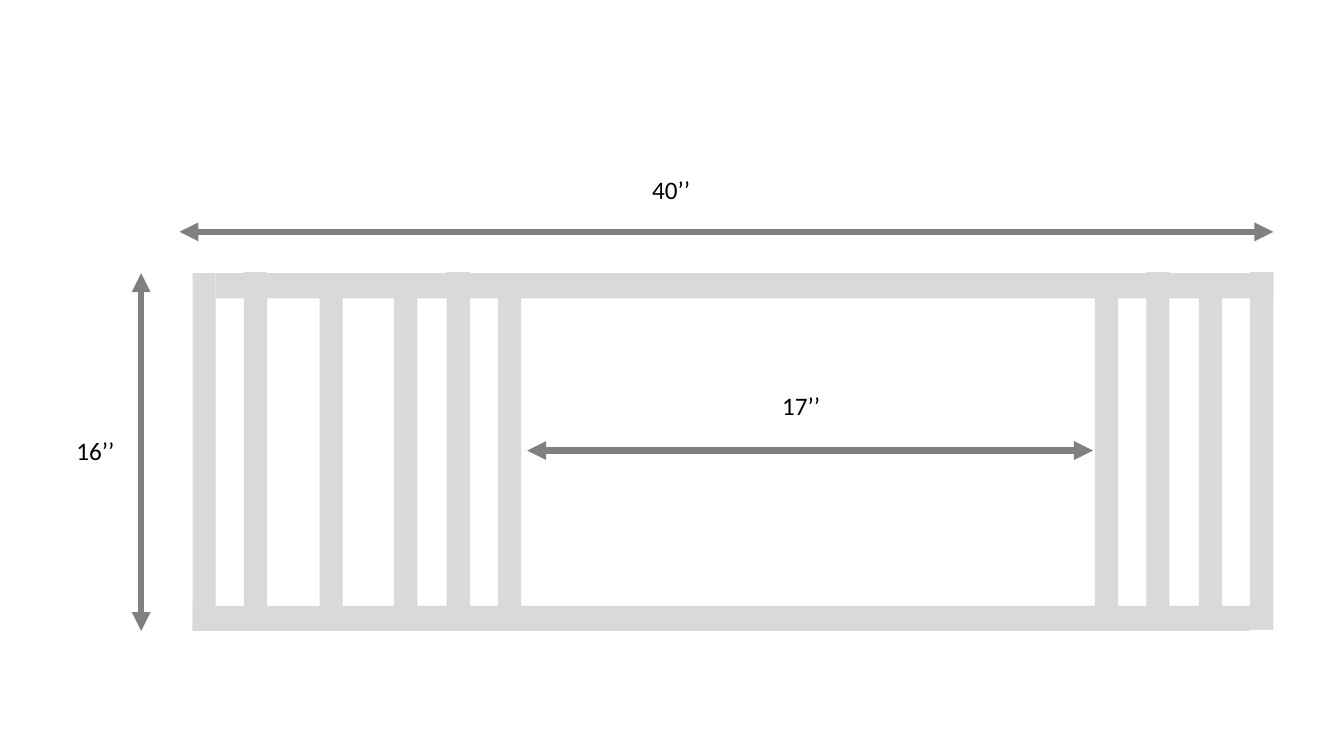
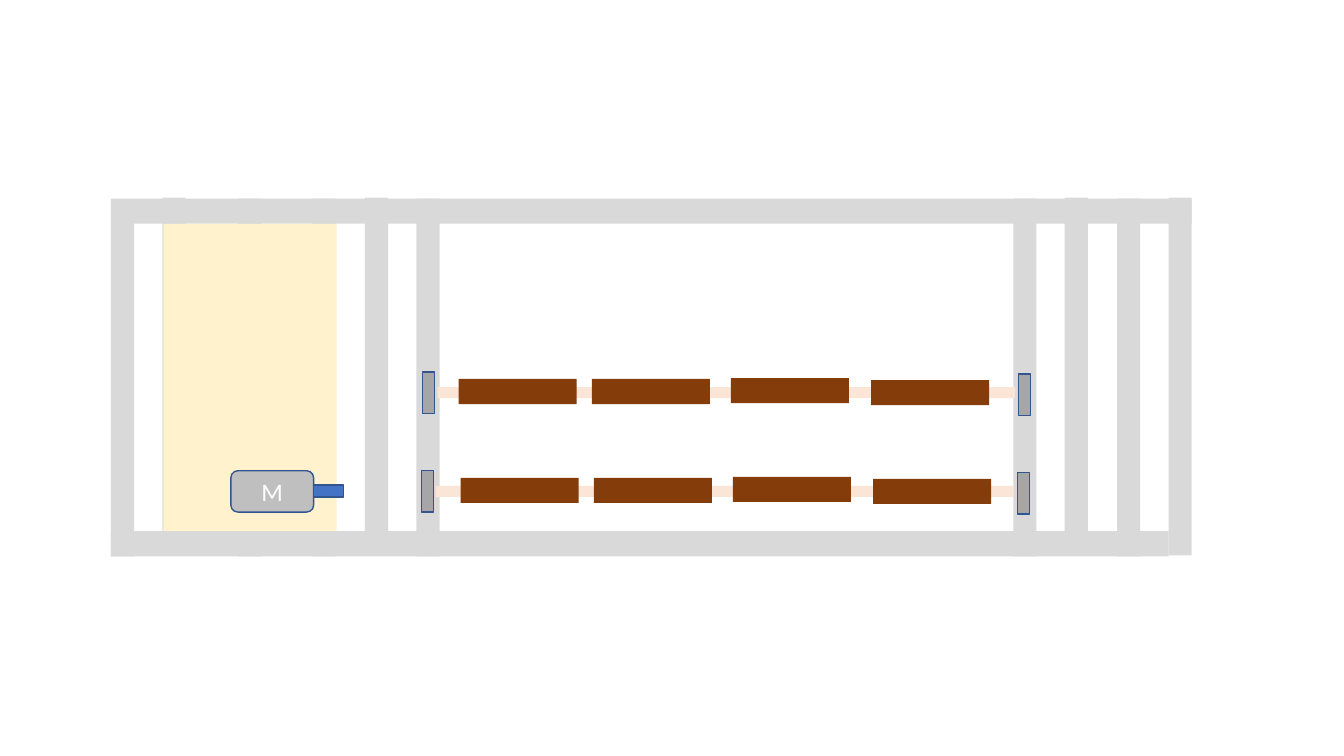
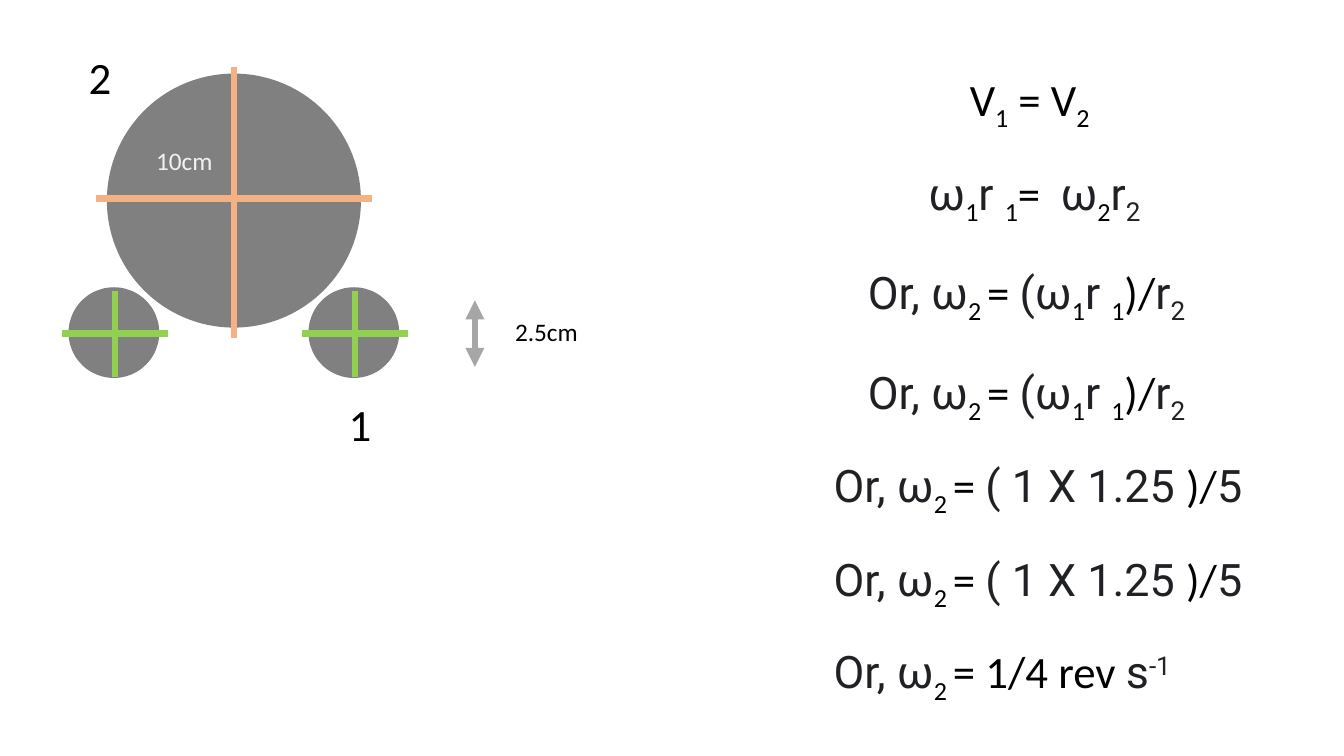
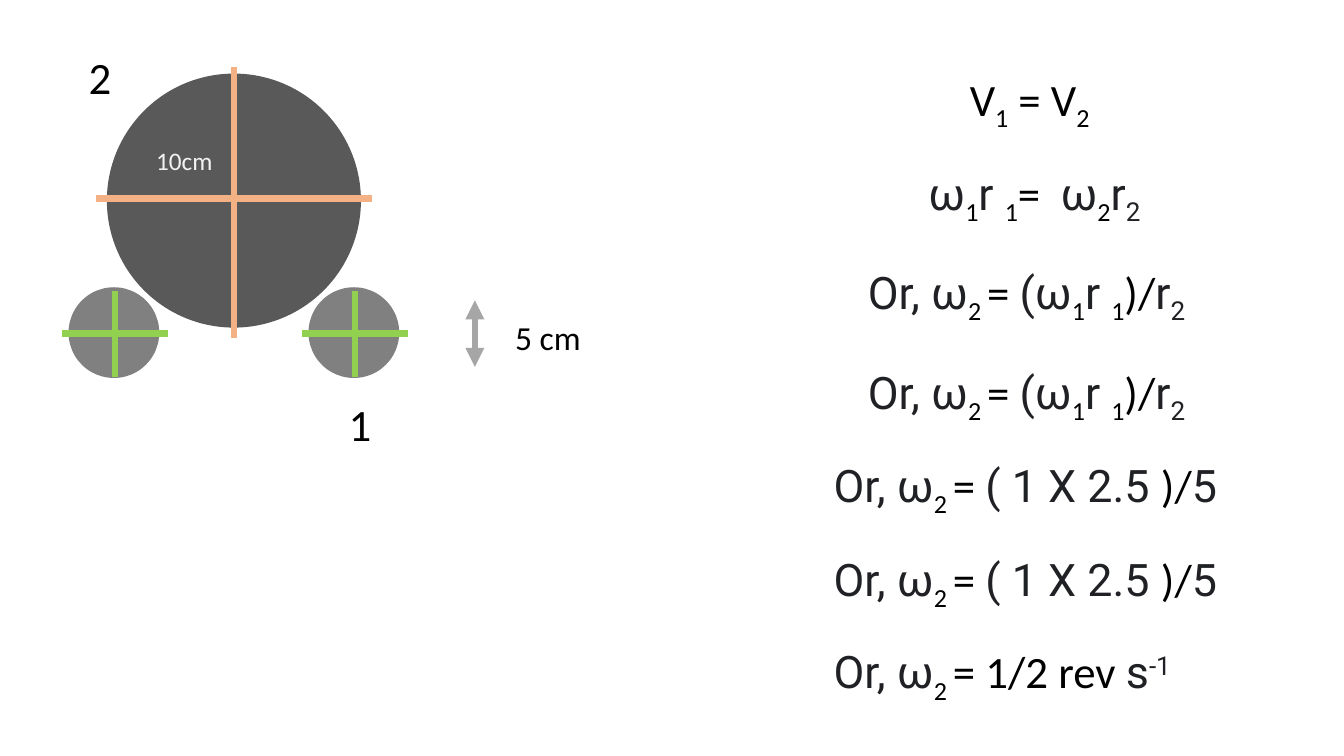
from lxml import etree
from pptx import Presentation
from pptx.dml.color import RGBColor
from pptx.enum.shapes import MSO_CONNECTOR, MSO_SHAPE
from pptx.enum.text import MSO_ANCHOR, MSO_AUTO_SIZE, PP_ALIGN
from pptx.oxml.ns import qn
from pptx.util import Pt

RECT, ROUND, OVAL = MSO_SHAPE.RECTANGLE, MSO_SHAPE.ROUNDED_RECTANGLE, MSO_SHAPE.OVAL
STRAIGHT = MSO_CONNECTOR.STRAIGHT
GROW = MSO_AUTO_SIZE.SHAPE_TO_FIT_TEXT
MIDDLE, CENTER = MSO_ANCHOR.MIDDLE, PP_ALIGN.CENTER

# Shared style
EMU_PER_PX = 9144  # 100 px to the inch
FRAME, GREY, SILVER, CHARCOAL = "D9D9D9", "808080", "A6A6A6", "595959"
OUTLINE, WOOD, BLADE, SHAFT = "325491", "FFF2CC", "843C0B", "FBE5D6"
ORANGE, GREEN = "F4B183", "92D050"
PLAIN, SYMBOL = ("Calibri", "000000"), ("Roboto", "202124")
SUB, SUPER = -25, 30


def px(n):
    return n * EMU_PER_PX


def rgb(colour):
    return RGBColor.from_string(colour)


class Deck:
    """Holds the presentation, the current slide and the current group."""

    def __init__(self):
        self.prs = Presentation()
        self.prs.slide_width, self.prs.slide_height = px(1333), px(750)

    def new_slide(self):
        self.slide = self.prs.slides.add_slide(self.prs.slide_layouts[6])
        self.ungroup()

    def group(self):
        self.shapes = self.slide.shapes.add_group_shape().shapes

    def ungroup(self):
        self.shapes = self.slide.shapes

    def shape(self, kind, x, y, w, h, fill, line=None):
        sp = self.shapes.add_shape(kind, px(x), px(y), px(w), px(h))
        sp.shadow.inherit = False
        sp.fill.solid()
        sp.fill.fore_color.rgb = rgb(fill)
        if line:
            sp.line.color.rgb = rgb(line)
            sp.line.width = Pt(1)
        else:
            sp.line.fill.background()
        return sp

    def line(self, x1, y1, x2, y2, colour, arrows=False):
        c = self.shapes.add_connector(STRAIGHT, px(x1), px(y1), px(x2), px(y2))
        c.line.color.rgb = rgb(colour)
        c.line.width = Pt(4.5)
        if arrows:
            ln = c.line._get_or_add_ln()
            for end in ("a:headEnd", "a:tailEnd"):
                etree.SubElement(ln, qn(end), type="triangle")
        etree.SubElement(c._element.spPr, qn("a:effectLst"))

    def run(self, p, text, style=PLAIN, base=0, size=18):
        r = p.add_run()
        r.text = text
        r.font.name, colour = style
        r.font.size = Pt(size)
        r.font.color.rgb = rgb(colour)
        if base:
            r._r.get_or_add_rPr().set("baseline", str(base * 1000))

    def text(self, x, y, w, h, runs, size=18):
        tf = self.shapes.add_textbox(px(x), px(y), px(w), px(h)).text_frame
        tf.word_wrap = True
        tf.auto_size = GROW
        for run in runs:
            self.run(tf.paragraphs[0], *run, size=size)

    def label(self, x, y, w, text, size=18, h=40, style=PLAIN):
        self.text(x, y, w, h, [(text, style)], size)

    def frame(self, x, y):
        """Two rails and the upright posts, as one group."""
        self.group()
        self.shape(RECT, x + 23, y, 1049, 25, FRAME)
        self.shape(RECT, x, y + 330, 1049, 25, FRAME)
        raised = (51, 252, 946, 1049)
        for dx in (0, 51, 126, 200, 252, 303, 895, 946, 998, 1049):
            self.shape(RECT, x + dx, y - (dx in raised), 23, 355, FRAME)

    def wheel(self, x, y, d, fill, colour, upright, level):
        """A disc with a cross; each bar is (offset, start, end)."""
        self.group()
        self.shape(OVAL, x, y, d, d, fill)
        at, start, end = upright
        self.line(x + at, y + start, x + at, y + end, colour)
        at, start, end = level
        self.line(x + start, y + at, x + end, y + at, colour)
        self.ungroup()


def dimensions_slide(deck):
    deck.new_slide()
    deck.frame(191, 271)
    deck.group()
    deck.line(140, 271, 140, 626, GREY, arrows=True)
    deck.label(66, 427, 60, "16’’")
    deck.ungroup()
    deck.line(178, 230, 1263, 230, GREY, arrows=True)
    deck.label(637, 168, 60, "40’’")
    deck.line(523, 447, 1084, 447, GREY, arrows=True)
    deck.label(766, 382, 60, "17’’")


def machine_slide(deck):
    deck.new_slide()
    deck.frame(110, 197)
    deck.shape(RECT, 162, 222, 172, 305, WOOD)
    rows = ((0, 0), (-1, 98))
    for dx, dy in rows:  # bearings
        for x, y in ((419, 369), (1010, 371)):
            deck.shape(RECT, x + dx, y + dy, 12, 41, SILVER, OUTLINE)
    deck.ungroup()

    # Motor
    sp = deck.shape(ROUND, 229, 467, 82, 41, "BFBFBF", OUTLINE)
    tf = sp.text_frame
    tf.vertical_anchor = MIDDLE
    p = tf.paragraphs[0]
    p.alignment = CENTER
    deck.run(p, "M", ("Calibri", "FFFFFF"))
    deck.shape(RECT, 311, 481, 30, 12, "4472C4", OUTLINE)

    # Shafts and their blades
    for dx, dy in rows:
        deck.shape(RECT, 434 + 2 * dx, 384 + dy, 573, 11, SHAFT)
        for x, y in ((455, 376), (587, 376), (725, 375), (864, 377)):
            deck.shape(RECT, x - 2 * dx, y + dy, 117, 25, BLADE)


def gear_slide(deck, big_fill, width, width_size, width_h, radius, speed):
    deck.new_slide()
    deck.wheel(106, 73, 252, big_fill, ORANGE, (126, -7, 262), (124, -11, 263))
    for x in (68, 306):
        deck.wheel(x, 285, 90, GREY, GREEN, (46, 4, 89), (46, -6, 99))

    # Labels
    deck.label(145, 139, 87, "10cm", style=("Calibri", "F2F2F2"))
    deck.line(471, 298, 471, 364, SILVER, arrows=True)
    deck.label(501, 309, 90, width, width_size, width_h)
    deck.label(336, 389, 45, "1", 32, 64)
    deck.label(78, 44, 45, "2", 32, 64)

    # Equations
    sub_1, sub_2 = ("1", PLAIN, SUB), ("2", PLAIN, SUB)
    r_1 = [sub_1, ("r ", SYMBOL), sub_1]
    r_2 = [("r", SYMBOL), ("2", SYMBOL, SUB)]
    omega_2 = [("Or, ω", SYMBOL), ("2 ", PLAIN, SUB)]
    ratio = omega_2 + [("= ",), ("(ω", SYMBOL)] + r_1 + [(")/",)] + r_2
    numbers = omega_2 + [("= ",), (f"( 1 X {radius} ", SYMBOL), (")/",), ("5", SYMBOL)]
    equations = (
        (952, 66, 275, [("V",), sub_1, (" = V",), sub_2]),
        (911, 159, 275, [("ω", SYMBOL)] + r_1 + [("=  ",), ("ω", SYMBOL), sub_2] + r_2),
        (851, 258, 377, ratio),
        (851, 357, 377, ratio),
        (817, 449, 462, numbers),
        (817, 542, 462, numbers),
        (817, 634, 462, omega_2 + [(f"= {speed} rev ",), ("s", SYMBOL),
                                   ("-1", SYMBOL, SUPER)]),
    )
    for x, y, w, runs in equations:
        deck.text(x, y, w, 64, runs, 32)


def main():
    deck = Deck()
    dimensions_slide(deck)
    machine_slide(deck)
    gear_slide(deck, GREY, "2.5cm", 18, 40, "1.25", "1/4")
    gear_slide(deck, CHARCOAL, "5 cm", 24, 50, "2.5", "1/2")
    deck.prs.save("out.pptx")


if __name__ == "__main__":
    main()
